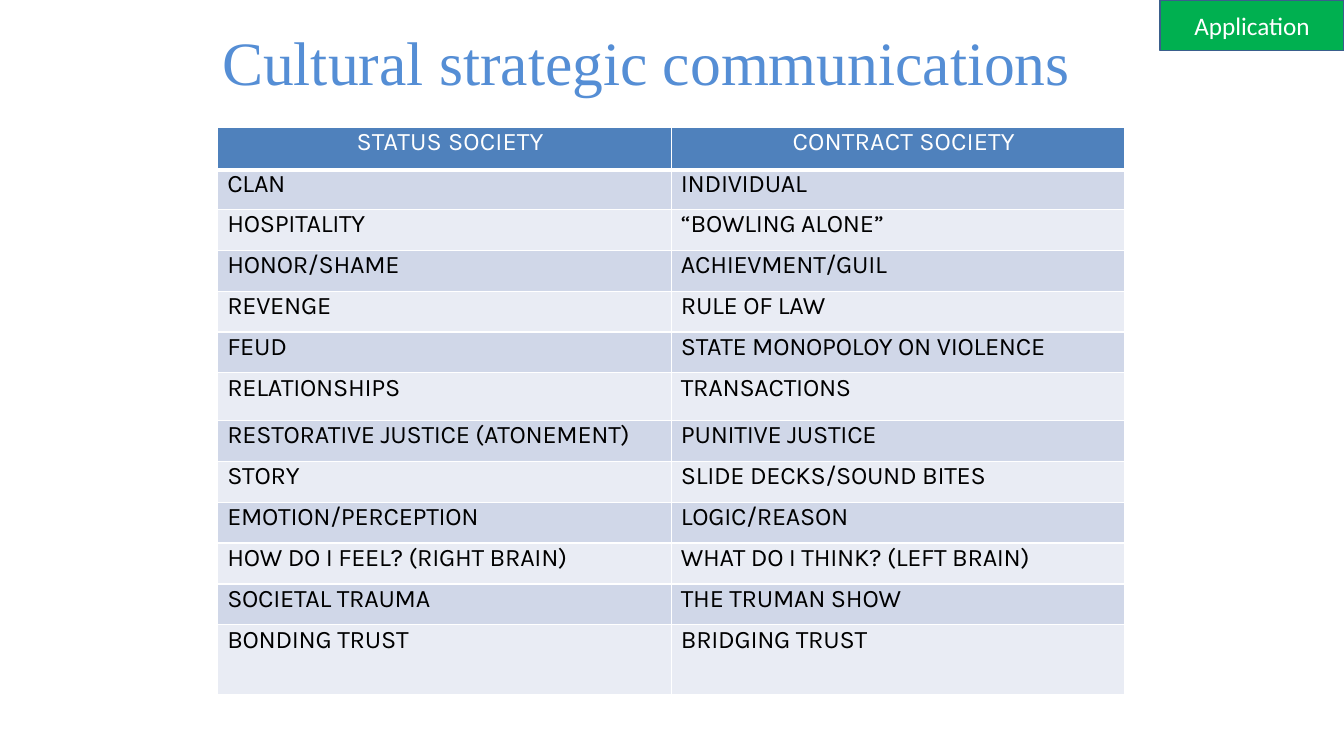
from lxml.etree import SubElement
from pptx import Presentation
from pptx.dml.color import RGBColor
from pptx.enum.shapes import MSO_SHAPE as Preset
from pptx.enum.text import MSO_ANCHOR as Anchor, PP_ALIGN as Align
from pptx.oxml.ns import qn
from pptx.util import Pt

WHITE = RGBColor(0xFF, 0xFF, 0xFF)
BLACK = RGBColor(0, 0, 0)
TITLE_BLUE = RGBColor(0x55, 0x8E, 0xD5)
HEADER_BLUE = RGBColor(0x4F, 0x81, 0xBC)
BANDS = (RGBColor(0xE9, 0xEC, 0xF4), RGBColor(0xD0, 0xD7, 0xE8))
TAG_GREEN = RGBColor(0x00, 0xB0, 0x50)
TAG_EDGE = RGBColor(0x3A, 0x5F, 0x8C)

TITLE_FONT = {"name": "Times New Roman", "size": Pt(44), "color": TITLE_BLUE}
TAG_FONT = {"name": "Calibri", "size": Pt(18), "color": WHITE}
HEADER_FONT = {"name": "Karla", "size": Pt(18), "color": WHITE}
BODY_FONT = {"name": "Karla", "size": Pt(18), "color": BLACK}

SOCIETIES = [
    ("STATUS SOCIETY", "CONTRACT SOCIETY"),
    ("CLAN", "INDIVIDUAL"),
    ("HOSPITALITY", "“BOWLING ALONE”"),
    ("HONOR/SHAME", "ACHIEVMENT/GUIL"),
    ("REVENGE", "RULE OF LAW"),
    ("FEUD", "STATE MONOPOLOY ON VIOLENCE"),
    ("RELATIONSHIPS", "TRANSACTIONS"),
    ("RESTORATIVE JUSTICE (ATONEMENT)", "PUNITIVE JUSTICE"),
    ("STORY", "SLIDE DECKS/SOUND BITES"),
    ("EMOTION/PERCEPTION", "LOGIC/REASON"),
    ("HOW DO I FEEL? (RIGHT BRAIN)", "WHAT DO I THINK? (LEFT BRAIN)"),
    ("SOCIETAL TRAUMA", "THE TRUMAN SHOW"),
    ("BONDING TRUST", "BRIDGING TRUST"),
]
ROW_HEIGHT = 29.2
SPECIAL_HEIGHTS = {0: 30.2, 1: 28.4, 6: 34, 12: 50}


def write(frame, text, font, align):
    """Put one formatted run into a text frame."""
    para = frame.paragraphs[0]
    para.alignment = align
    span = para.add_run()
    span.text = text
    for name, value in font.items():
        if name == "color":
            span.font.color.rgb = value
        else:
            setattr(span.font, name, value)
    return span


def add_title(page, text):
    """Add the centred title."""
    box = page.shapes.add_textbox(Pt(113), Pt(12.2), Pt(709), Pt(69.8))
    frame = box.text_frame
    frame.word_wrap = True
    frame.vertical_anchor = Anchor.MIDDLE
    write(frame, text, TITLE_FONT, Align.CENTER)
    frame.paragraphs[0].line_spacing = 0.9


def add_tag(page, text):
    """Add the green corner tag."""
    tag = page.shapes.add_shape(Preset.RECTANGLE, Pt(828.7), 0, Pt(131.3), Pt(36))
    tag.shadow.inherit = False
    tag.fill.solid()
    tag.fill.fore_color.rgb = TAG_GREEN
    tag.line.color.rgb = TAG_EDGE
    tag.line.width = Pt(1)
    tag.text_frame.vertical_anchor = Anchor.MIDDLE
    write(tag.text_frame, text, TAG_FONT, Align.CENTER)


def set_borders(cell, widths):
    """Draw white cell borders with the given widths by side."""
    properties = cell._tc.get_or_add_tcPr()
    for side, width in widths.items():
        line = SubElement(properties, qn(f"a:ln{side}"), w=str(Pt(width)))
        fill = SubElement(line, qn("a:solidFill"))
        SubElement(fill, qn("a:srgbClr"), val=str(WHITE))


def fill_cell(cell, text, row):
    """Format one table cell as a header or a banded body cell."""
    header = row == 0
    margins = {"left": 8 if header else 6.8, "right": 0, "top": 0, "bottom": 0}
    for side, margin in margins.items():
        setattr(cell, f"margin_{side}", Pt(margin))
    set_borders(cell, {"L": 1, "R": 1, "T": 3 if row == 1 else 1, "B": 3 if header else 1})
    cell.fill.solid()
    cell.fill.fore_color.rgb = HEADER_BLUE if header else BANDS[row % 2]
    font, align = (HEADER_FONT, Align.CENTER) if header else (BODY_FONT, Align.LEFT)
    span = write(cell.text_frame, text, font, align)
    span.font._element.set("spc", "10" if header else "-20")


def add_comparison(page, rows):
    """Add the two-column comparison table."""
    heights = [SPECIAL_HEIGHTS.get(row, ROW_HEIGHT) for row in range(len(rows))]
    table = page.shapes.add_table(
        len(rows), 2, Pt(155.6), Pt(91), Pt(648), Pt(sum(heights))).table
    for row, (texts, height) in enumerate(zip(rows, heights)):
        table.rows[row].height = Pt(height)
        for column, text in enumerate(texts):
            fill_cell(table.cell(row, column), text, row)


def main():
    """Build and save the slide."""
    deck = Presentation()
    deck.slide_width, deck.slide_height = Pt(960), Pt(540)
    page = deck.slides.add_slide(deck.slide_layouts[6])
    add_comparison(page, SOCIETIES)
    add_title(page, "Cultural strategic communications ")
    add_tag(page, "Application")
    deck.save("out.pptx")


if __name__ == "__main__":
    main()
